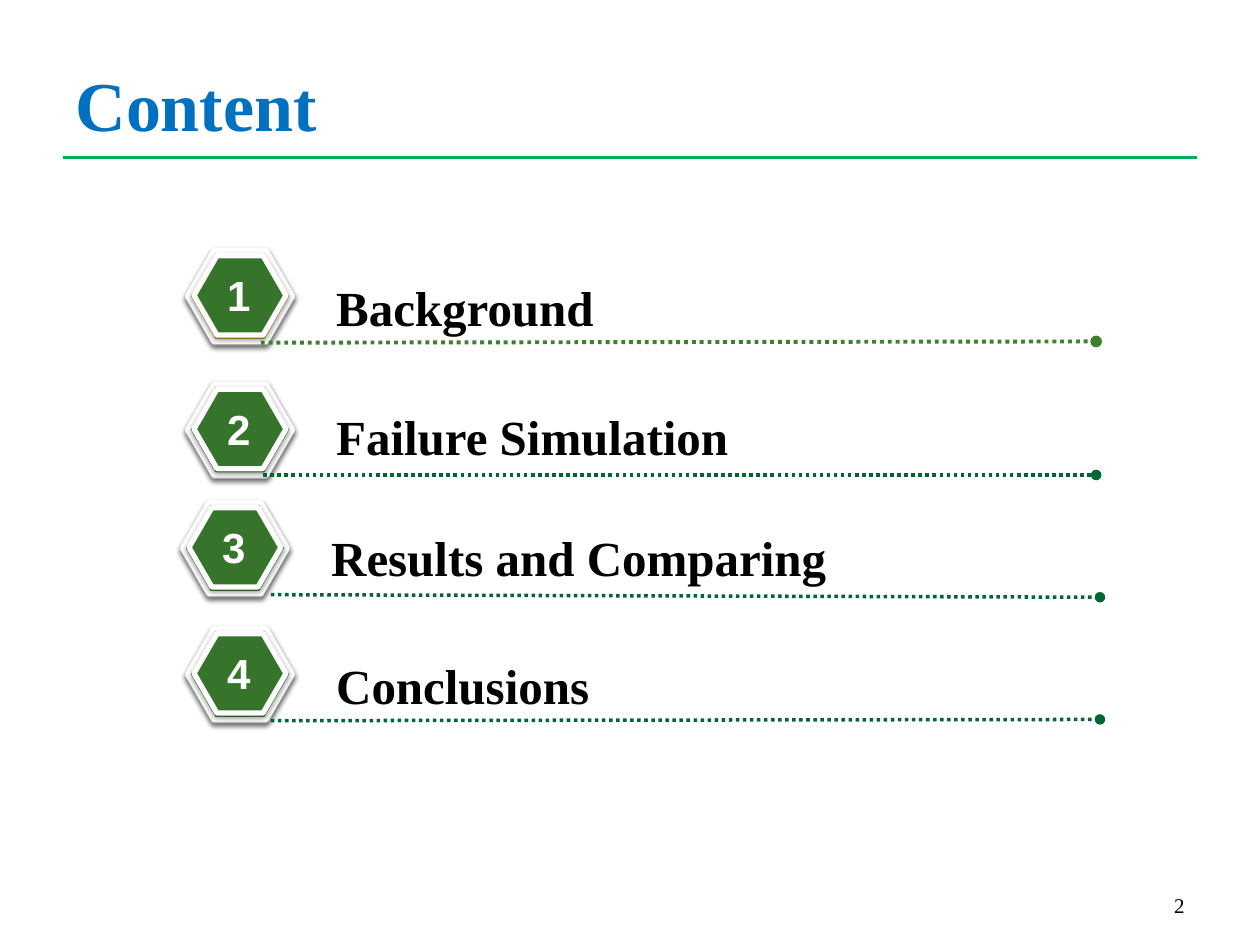
from dataclasses import dataclass

from lxml.etree import SubElement
from pptx import Presentation
from pptx.dml.color import RGBColor
from pptx.enum.dml import MSO_LINE
from pptx.enum.shapes import MSO_CONNECTOR, MSO_SHAPE
from pptx.enum.text import MSO_ANCHOR as Anchor, MSO_AUTO_SIZE as Fit, PP_ALIGN as Align
from pptx.oxml import parse_xml
from pptx.oxml.ns import nsdecls, qn
from pptx.util import Inches, Pt

BLACK = RGBColor(0x00, 0x00, 0x00)
WHITE = RGBColor(0xFF, 0xFF, 0xFF)
BLUE = RGBColor(0x00, 0x70, 0xC0)
RULE = RGBColor(0x00, 0xB0, 0x50)
GOLD = RGBColor(0xCC, 0x99, 0x00)
LEAF = RGBColor(0x35, 0x74, 0x2A)
MOSS = RGBColor(0x3B, 0x81, 0x2F)
PINE = RGBColor(0x00, 0x66, 0x33)
SERIF, SANS = "Times New Roman", "Arial"

SHADOW = (
    f'<a:effectLst {nsdecls("a")}>'
    '<a:outerShdw blurRad="40000" dist="20000" dir="5400000" rotWithShape="0">'
    '<a:srgbClr val="000000"><a:alpha val="38000"/></a:srgbClr>'
    "</a:outerShdw></a:effectLst>"
)


@dataclass
class Item:
    num: str
    text: str
    left: float
    top: float
    label_top: float
    width: float
    start: tuple[float, float]
    end: tuple[float, float]
    back: RGBColor = LEAF
    dots: RGBColor = PINE
    weight: float = 2


ITEMS = [
    Item("1", "Background", 1.49, 1.99, 2.15, 2.28, (2.07, 2.72), (8.7, 2.71),
         back=GOLD, dots=MOSS, weight=2.25),
    Item("2", "Failure Simulation", 1.49, 3.05, 3.18, 3.45, (2.09, 3.77), (8.7, 3.77)),
    Item("3", "Results and Comparing", 1.45, 3.99, 4.14, 4.18, (2.15, 4.72), (8.73, 4.74)),
    Item("4", "Conclusions", 1.49, 4.99, 5.15, 2.23, (2.15, 5.72), (8.73, 5.71)),
]


def place(shape, left: float, top: float, width: float, height: float) -> None:
    shape.left, shape.top = Inches(left), Inches(top)
    shape.width, shape.height = Inches(width), Inches(height)


def write(frame, text: str, *, size: float, color: RGBColor, font: str = SERIF,
          bold: bool = True, align=Align.LEFT, anchor=Anchor.TOP,
          wrap: bool = False, fit=Fit.SHAPE_TO_FIT_TEXT) -> None:
    frame.word_wrap, frame.auto_size = wrap, fit
    frame.vertical_anchor = anchor
    para = frame.paragraphs[0]
    para.alignment = align
    run = para.add_run()
    run.text = text
    run.font.name, run.font.size, run.font.bold = font, Pt(size), bold
    run.font.color.rgb = color


def add_text(slide, box: tuple[float, ...], text: str, **style) -> None:
    shape = slide.shapes.add_textbox(*map(Inches, box))
    write(shape.text_frame, text, **style)


def add_line(slide, start: tuple[float, float], end: tuple[float, float],
             color: RGBColor, weight: float, dotted: bool = False) -> None:
    """Draw a plain rule, or a dotted one that ends in a round dot."""
    line = slide.shapes.add_connector(
        MSO_CONNECTOR.STRAIGHT, *map(Inches, (*start, *end)))
    line.line.color.rgb, line.line.width = color, Pt(weight)
    props = line._element.spPr
    if dotted:
        line.line.dash_style = MSO_LINE.ROUND_DOT
        SubElement(props.find(qn("a:ln")), qn("a:tailEnd"), type="oval")
    SubElement(props, qn("a:effectLst"))


def add_hex(group, left: float, top: float, width: float, height: float,
            fill: RGBColor) -> None:
    shape = group.shapes.add_shape(
        MSO_SHAPE.HEXAGON, *map(Inches, (left, top, width, height)))
    shape.adjustments[0] = 0.289
    shape.fill.solid()
    shape.fill.fore_color.rgb = fill
    shape.line.color.rgb, shape.line.width = WHITE, Pt(3)
    shape._element.spPr.append(parse_xml(SHADOW))


def add_item(slide, item: Item) -> None:
    left, top = item.left, item.top
    badge = slide.shapes.add_group_shape()
    add_hex(badge, left, top + 0.01, 0.83, 0.72, item.back)
    add_hex(badge, left, top, 0.83, 0.72, item.back)
    add_hex(badge, left + 0.05, top + 0.04, 0.73, 0.63, LEAF)
    add_line(slide, item.start, item.end, item.dots, item.weight, dotted=True)
    add_text(slide, (left + 0.21, top + 0.1, 0.39, 0.5), item.num,
             size=24, color=WHITE, font=SANS, align=Align.CENTER)
    add_text(slide, (left + 1.08, item.label_top, item.width, 0.57), item.text,
             size=28, color=BLACK)


def main() -> None:
    deck = Presentation()
    deck.slide_width, deck.slide_height = Inches(10), Inches(7.5)
    slide = deck.slides.add_slide(deck.slide_layouts[5])
    add_line(slide, (0.5, 1.25), (9.5, 1.25), RULE, 2.25)
    title = slide.shapes.title
    place(title, 0.5, 0.39, 9, 0.86)
    write(title.text_frame, "Content", size=40, color=BLUE,
          anchor=Anchor.MIDDLE, wrap=True, fit=Fit.NONE)
    add_text(slide, (7.17, 6.83, 2.33, 0.5), "2", size=12, color=BLACK, bold=False,
             align=Align.RIGHT, anchor=Anchor.BOTTOM, wrap=True, fit=Fit.NONE)
    for item in ITEMS:
        add_item(slide, item)
    deck.save("out.pptx")


if __name__ == "__main__":
    main()
